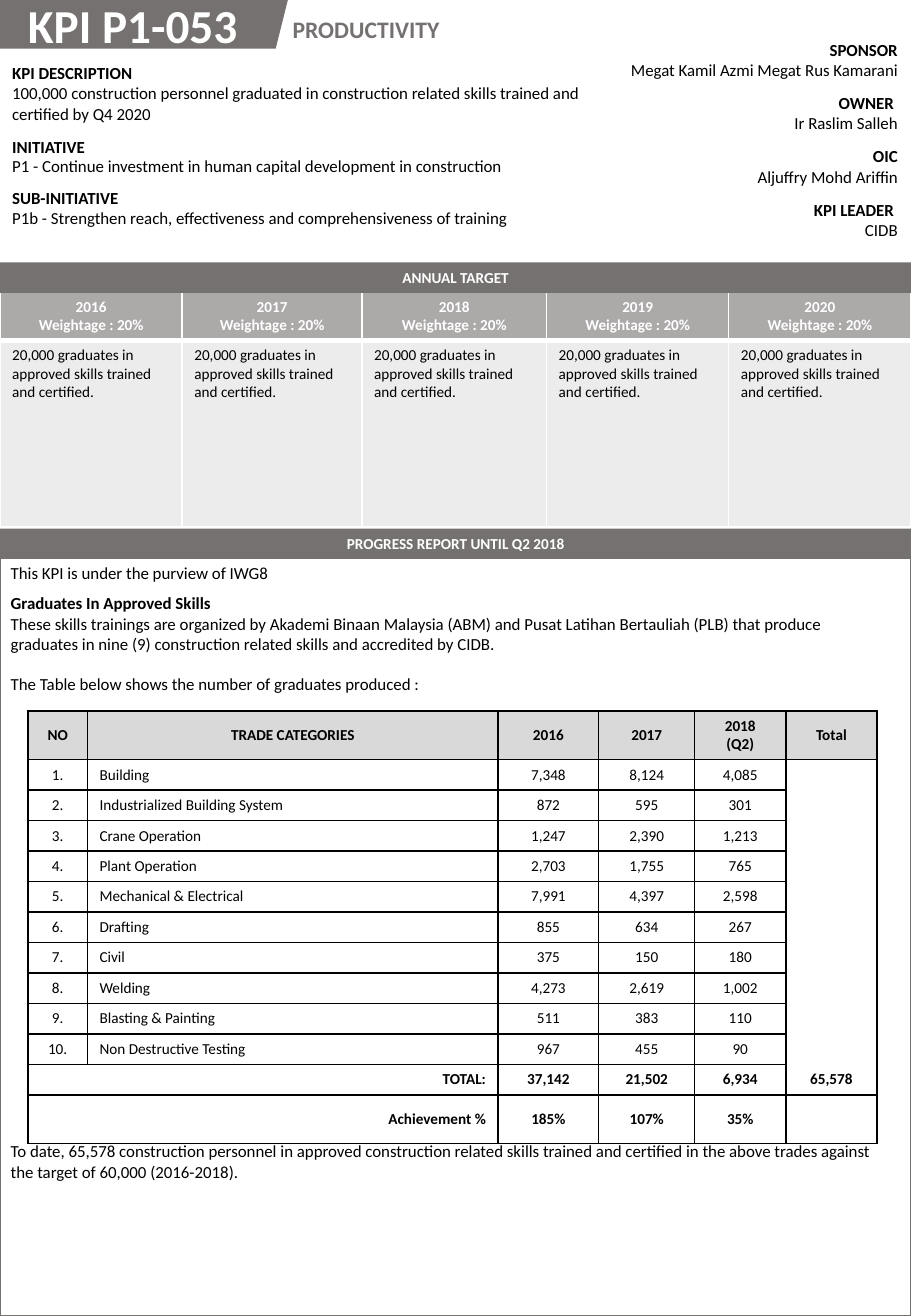
from dataclasses import dataclass

from lxml import etree
from pptx import Presentation
from pptx.dml.color import RGBColor
from pptx.enum.shapes import MSO_SHAPE
from pptx.enum.text import MSO_ANCHOR, MSO_AUTO_SIZE, PP_ALIGN
from pptx.oxml.ns import qn
from pptx.util import Inches, Pt

LEFT, CENTER, RIGHT = PP_ALIGN.LEFT, PP_ALIGN.CENTER, PP_ALIGN.RIGHT
TOP, MIDDLE, BOTTOM = MSO_ANCHOR.TOP, MSO_ANCHOR.MIDDLE, MSO_ANCHOR.BOTTOM
RECTANGLE, PARALLELOGRAM = MSO_SHAPE.RECTANGLE, MSO_SHAPE.PARALLELOGRAM
FIXED = MSO_AUTO_SIZE.NONE
PLAIN_TABLE = "{2D5ABB26-0587-4C30-8999-92F81FD0307C}"


@dataclass(frozen=True)
class Theme:
    font: str = "Calibri"
    gray: str = "767171"
    pale: str = "D9D9D9"
    black: str = "000000"
    white: str = "FFFFFF"
    title: int = 28
    subtitle: int = 14
    body: int = 10
    small: int = 9


THEME = Theme()
PAGE_WIDTH, PAGE_HEIGHT = 7.5, 10.83

DESCRIPTION = [
    ("KPI DESCRIPTION", "100,000 construction personnel graduated in construction related "
     "skills trained and certified by Q4 2020", 0.61, 1),
    ("INITIATIVE", "P1 - Continue investment in human capital development in construction",
     0.42, 0.88),
    ("SUB-INITIATIVE", "P1b - Strengthen reach, effectiveness and comprehensiveness of training",
     0.44, 1),
]
PEOPLE = [
    ("SPONSOR", "Megat Kamil Azmi Megat Rus Kamarani", 0.44, 1),
    ("OWNER ", "Ir Raslim Salleh", 0.44, 1),
    ("OIC", "Aljuffry Mohd Ariffin", 0.44, 1),
    ("KPI LEADER ", "CIDB", 0.44, 1),
]
YEARS = ["2016", "2017", "2018", "2019", "2020"]
TRADE_HEADER = ["NO", "TRADE CATEGORIES", "2016", "2017", "2018\n(Q2)", "Total"]
TRADES = [
    ("Building", "7,348", "8,124", "4,085"),
    ("Industrialized Building System", "872", "595", "301"),
    ("Crane Operation", "1,247", "2,390", "1,213"),
    ("Plant Operation", "2,703", "1,755", "765"),
    ("Mechanical & Electrical", "7,991", "4,397", "2,598"),
    ("Drafting", "855", "634", "267"),
    ("Civil", "375", "150", "180"),
    ("Welding", "4,273", "2,619", "1,002"),
    ("Blasting & Painting", "511", "383", "110"),
    ("Non Destructive Testing", "967", "455", "90"),
]
GRAND_TOTAL = "65,578"
SUMMARY = [
    ("TOTAL:", "", "37,142", "21,502", "6,934", ""),
    ("Achievement %", "", "185%", "107%", "35%", ""),
]


def color(value):
    return RGBColor.from_string(value)


def write(frame, text, size=THEME.body, fill=THEME.black, bold=False, align=LEFT,
          before=0, spacing=1):
    for line in text.split("\n"):
        first = frame.paragraphs[0]
        para = frame.add_paragraph() if first.runs else first
        para.alignment = align
        para.space_before = Pt(before)
        para.line_spacing = spacing
        span = para.add_run()
        span.text = line
        span.font.name = THEME.font
        span.font.size = Pt(size)
        span.font.bold = bold
        span.font.color.rgb = color(fill)


def add_shape(page, kind, left, top, width, height, fill=None, line=None):
    shape = page.shapes.add_shape(kind, Inches(left), Inches(top), Inches(width), Inches(height))
    shape.shadow.inherit = False
    if fill:
        shape.fill.solid()
        shape.fill.fore_color.rgb = color(fill)
    else:
        shape.fill.background()
    if line:
        shape.line.color.rgb = color(line)
        shape.line.width = Pt(1.5)
    else:
        shape.line.fill.background()
    return shape


def add_text_box(page, left, top, width, height, wrap=True):
    box = page.shapes.add_textbox(Inches(left), Inches(top), Inches(width), Inches(height))
    box.text_frame.word_wrap = wrap
    return box.text_frame


def add_table(page, left, top, widths, heights):
    frame = page.shapes.add_table(len(heights), len(widths), Inches(left), Inches(top),
                                  Inches(sum(widths)), Inches(sum(heights)))
    frame.element.find(".//" + qn("a:tableStyleId")).text = PLAIN_TABLE
    table = frame.table
    table.first_row = table.horz_banding = False
    for column, width in zip(table.columns, widths):
        column.width = Inches(width)
    for row, height in zip(table.rows, heights):
        row.height = Inches(height)
    return table


def fill_cell(cell, fill, opacity=100):
    cell.fill.solid()
    cell.fill.fore_color.rgb = color(fill)
    if opacity < 100:
        tint = cell.fill.fore_color and cell._tc.tcPr.find(".//" + qn("a:srgbClr"))
        etree.SubElement(tint, qn("a:alpha")).set("val", str(opacity * 1000))


def border_cell(cell, line, bottom=1):
    properties = cell._tc.get_or_add_tcPr()
    for index, (side, width) in enumerate([("lnL", 1), ("lnR", 1), ("lnT", 1), ("lnB", bottom)]):
        edge = etree.Element(qn("a:" + side), w=str(Pt(width)))
        solid = etree.SubElement(edge, qn("a:solidFill"))
        etree.SubElement(solid, qn("a:srgbClr"), val=line)
        properties.insert(index, edge)


def add_heading(page, left, top):
    tag = add_shape(page, PARALLELOGRAM, left - 0.17, top, 2.54, 0.4, THEME.gray)
    title = page.shapes.title
    title.element.addprevious(tag.element)
    title.left, title.top = Inches(left + 0.13), Inches(top - 0.08)
    title.width, title.height = Inches(2.24), Inches(0.57)
    title.text_frame.auto_size = FIXED
    title.text_frame.vertical_anchor = TOP
    write(title.text_frame, "KPI P1-053", size=THEME.title, fill=THEME.white, bold=True)
    subtitle = add_text_box(page, left + 2.31, top + 0.07, 1.45, 0.34, wrap=False)
    write(subtitle, "PRODUCTIVITY", size=THEME.subtitle, fill=THEME.gray, bold=True)


def add_facts(page, facts, left, top, width, align):
    table = add_table(page, left, top, [width], [height for _, _, height, _ in facts])
    for row, (label, value, _, spacing) in enumerate(facts):
        frame = table.cell(row, 0).text_frame
        write(frame, label, bold=True, align=align)
        write(frame, value, align=align, spacing=spacing)


def add_bar(page, left, top, width, text):
    bar = add_shape(page, RECTANGLE, left, top, width, 0.25, THEME.gray)
    bar.text_frame.vertical_anchor = MIDDLE
    write(bar.text_frame, text, size=THEME.small, fill=THEME.white, bold=True, align=CENTER)


def add_targets(page, left, top, width):
    table = add_table(page, left, top + 0.24, [1.5, 1.48, 1.52, 1.5, 1.5], [0.4, 1.53])
    for column, year in enumerate(YEARS):
        header, target = table.cell(0, column), table.cell(1, column)
        write(header.text_frame, f"{year}\nWeightage : 20%", size=THEME.small,
              fill=THEME.white, bold=True, align=CENTER)
        write(target.text_frame, "20,000 graduates in approved skills trained and certified.",
              size=THEME.small)
        fill_cell(header, THEME.gray, 60)
        fill_cell(target, THEME.gray, 13)
        border_cell(header, THEME.white, bottom=3)
        border_cell(target, THEME.white)
    add_bar(page, left, top, width, "ANNUAL TARGET")


def add_trades(page, left, top):
    rows = [TRADE_HEADER]
    rows += [(f"{number}.", *trade, "") for number, trade in enumerate(TRADES, 1)]
    rows += SUMMARY
    first_summary = len(TRADES) + 1
    table = add_table(page, left, top, [0.49, 3.38, 0.83, 0.79, 0.75, 0.75],
                      [0.4] + [0.25] * (len(rows) - 1))
    table.cell(1, 5).merge(table.cell(first_summary, 5))
    for row in range(first_summary, len(rows)):
        table.cell(row, 0).merge(table.cell(row, 1))
    for row, values in enumerate(rows):
        strong = row == 0 or row >= first_summary
        for column, value in enumerate(values):
            cell = table.cell(row, column)
            align = CENTER
            if row >= first_summary and column == 0:
                align = RIGHT
            elif row and column == 1:
                align = LEFT
            is_total = (row, column) == (1, 5)
            write(cell.text_frame, GRAND_TOTAL if is_total else value, size=THEME.small,
                  bold=strong or is_total, align=align)
            cell.vertical_anchor = BOTTOM if is_total else MIDDLE
            if row == 0:
                fill_cell(cell, THEME.pale)
            border_cell(cell, THEME.black)


def add_progress(page, left, top, width, height):
    add_shape(page, RECTANGLE, left, top + 0.24, width, height - 0.24, line=THEME.gray)
    add_bar(page, left, top, width, "PROGRESS REPORT UNTIL Q2 2018")
    intro = add_text_box(page, left - 0.01, top + 0.23, 7.33, 1.25)
    write(intro, "This KPI is under the purview of IWG8")
    write(intro, "Graduates In Approved Skills", bold=True, before=6)
    write(intro, "These skills trainings are organized by Akademi Binaan Malaysia (ABM) and Pusat "
          "Latihan Bertauliah (PLB) that produce graduates in nine (9) construction related "
          "skills and accredited by CIDB.")
    write(intro, "The Table below shows the number of graduates produced :", before=12)
    add_trades(page, left + 0.23, top + 1.5)
    outcome = add_text_box(page, left - 0.01, top + 4.99, 7.33, 0.44)
    write(outcome, "To date, 65,578 construction personnel in approved construction related skills "
          "trained and certified in the above trades against the target of 60,000 (2016-2018).")


def main():
    deck = Presentation()
    deck.slide_width, deck.slide_height = Inches(PAGE_WIDTH), Inches(PAGE_HEIGHT)
    page = deck.slides.add_slide(deck.slide_layouts[5])
    add_heading(page, 0, 0)
    add_facts(page, DESCRIPTION, 0, 0.47, 4.98, LEFT)
    add_facts(page, PEOPLE, 5.05, 0.28, 2.44, RIGHT)
    add_targets(page, 0, 2.16, PAGE_WIDTH)
    add_progress(page, 0, 4.35, PAGE_WIDTH, PAGE_HEIGHT - 4.35)
    deck.save("out.pptx")


if __name__ == "__main__":
    main()
